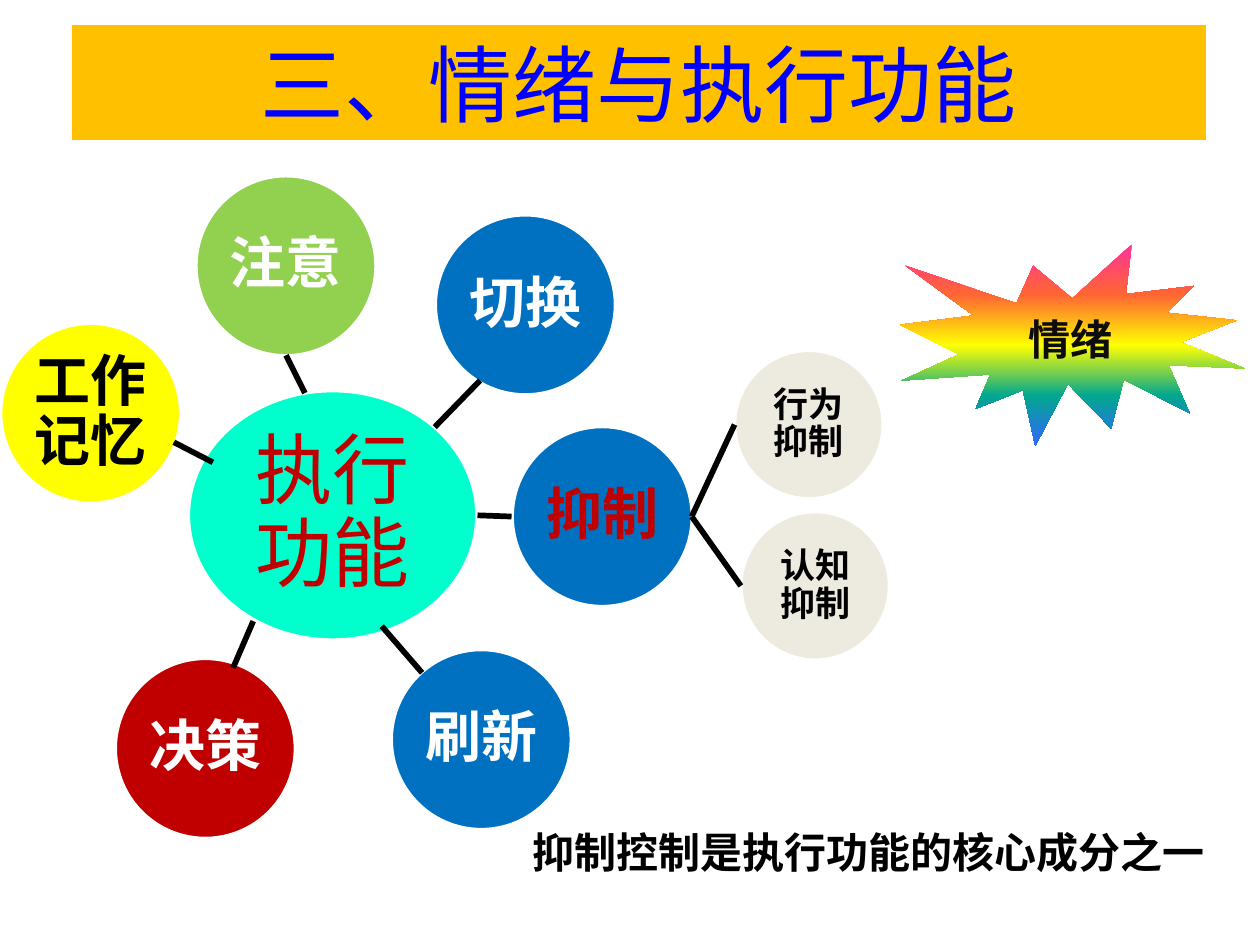
"""Build the slide on emotion and executive function."""
import pptx
import pptx.dml.color
import pptx.enum.shapes
import pptx.enum.text
import pptx.oxml.ns
import pptx.util
from lxml import etree

RGB = pptx.dml.color.RGBColor
SHAPE = pptx.enum.shapes.MSO_SHAPE
ALIGN = pptx.enum.text.PP_ALIGN
MIDDLE = pptx.enum.text.MSO_ANCHOR.MIDDLE
Inches = pptx.util.Inches
Pt = pptx.util.Pt
qn = pptx.oxml.ns.qn

WHITE = RGB(0xFF, 0xFF, 0xFF)
BLACK = RGB(0, 0, 0)
NEAR_BLACK = RGB(0x0D, 0x0D, 0x0D)
BLUE = RGB(0x00, 0x70, 0xC0)
RED = RGB(0xC0, 0, 0)
GREEN = RGB(0x92, 0xD0, 0x50)
YELLOW = RGB(0xFF, 0xFF, 0)
AQUA = RGB(0, 0xFF, 0xCC)
BEIGE = RGB(0xDD, 0xD9, 0xC3)
AMBER = RGB(0xFF, 0xC0, 0)
TITLE_BLUE = RGB(0, 0, 0xFF)
RAINBOW = [RGB(0xFF, 0x33, 0x99), RGB(0xFF, 0x66, 0x33), YELLOW,
           RGB(0x01, 0xA7, 0x8F), RGB(0x33, 0x66, 0xFF)]

SANS = "Noto Sans CJK SC"
HEADING = "Noto Sans CJK JP"
LATIN = "Cabin"

TITLE = "三、情绪与执行功能"
EMOTION = "情绪"
CONCLUSION = "抑制控制是执行功能的核心成分之一"

CORE = ("执行功能", 2.64, 4.09, AQUA, RED)
FUNCTIONS = [
    ("刷新", 3.82, 5.87, BLUE, WHITE),
    ("抑制", 4.78, 4.1, BLUE, RED),
    ("切换", 4.17, 2.42, BLUE, WHITE),
    ("注意", 2.27, 2.11, GREEN, WHITE),
    ("工作记忆", 0.72, 3.28, YELLOW, BLACK),
    ("决策", 1.63, 5.94, RED, WHITE),
]
INHIBITIONS = [
    ("行为抑制", 6.42, 3.37, BEIGE, BLACK),
    ("认知抑制", 6.47, 4.65, BEIGE, BLACK),
]
FORK = (5.49, 4.1)
LINKS = [
    ((3.35, 5.34), (3.03, 4.97)),
    ((3.45, 3.39), (3.81, 3.02)),
    ((3.79, 4.09), (4.06, 4.1)),
    (FORK, (5.88, 4.65)),
    (FORK, (5.83, 3.37)),
    ((2.42, 3.12), (2.27, 2.82)),
    ((1.69, 3.67), (1.38, 3.51)),
    ((1.85, 5.3), (2.01, 4.93)),
]


def write(frame, words, size, face, color, bold=False, align=ALIGN.CENTER):
    frame.text = words
    paragraph = frame.paragraphs[0]
    paragraph.alignment = align
    run = paragraph.runs[0]
    run.font.size = Pt(size)
    run.font.bold = bold
    run.font.color.rgb = color
    run.font.name = face
    etree.SubElement(run.font._element, qn("a:ea"), typeface=face)


def add_bubble(slide, bubble, width, height, inset, size, face, bold=True, opacity=100):
    words, x, y, color, ink = bubble
    oval = slide.shapes.add_shape(SHAPE.OVAL, Inches(x - width / 2), Inches(y - height / 2),
                                  Inches(width), Inches(height))
    oval.shadow.inherit = False
    oval.fill.solid()
    oval.fill.fore_color.rgb = color
    if opacity < 100:
        tint = oval._element.spPr.find(qn("a:solidFill"))[0]
        etree.SubElement(tint, qn("a:alpha"), val=str(opacity * 1000))
    oval.line.color.rgb = WHITE
    oval.line.width = Pt(2)
    frame = oval.text_frame
    frame.word_wrap = True
    frame.vertical_anchor = MIDDLE
    frame.margin_left = frame.margin_right = Inches(inset)
    frame.margin_top = frame.margin_bottom = Inches(inset)
    write(frame, words, size, face, ink, bold)
    frame.paragraphs[0].line_spacing = 0.9


def add_link(slide, start, end):
    link = slide.shapes.add_connector(pptx.enum.shapes.MSO_CONNECTOR.STRAIGHT,
                                      *map(Inches, start + end))
    link.line.color.rgb = BLACK
    link.line.width = Pt(3.25)
    etree.SubElement(link._element.spPr, qn("a:effectLst"))


def add_emotion(slide):
    burst = slide.shapes.add_shape(SHAPE.EXPLOSION1, Inches(7.14), Inches(1.94),
                                   Inches(2.74), Inches(1.6))
    burst.shadow.inherit = False
    burst.line.fill.background()
    burst.fill.gradient()
    burst.fill.gradient_angle = 270
    stops = burst._element.spPr.find(qn("a:gradFill")).find(qn("a:gsLst"))
    stops.clear()
    for index, color in enumerate(RAINBOW):
        share = index * 100000 // (len(RAINBOW) - 1)
        stop = etree.SubElement(stops, qn("a:gs"), pos=str(share))
        etree.SubElement(stop, qn("a:srgbClr"), val=str(color))
    burst.text_frame.vertical_anchor = MIDDLE
    write(burst.text_frame, EMOTION, 24, LATIN, NEAR_BLACK, True)


def main():
    deck = pptx.Presentation()
    deck.slide_width, deck.slide_height = Inches(10), Inches(7.5)
    slide = deck.slides.add_slide(deck.slide_layouts[5])

    title = slide.shapes.title
    title.left, title.top = Inches(0.57), Inches(0.2)
    title.width, title.height = Inches(9), Inches(0.91)
    title.fill.solid()
    title.fill.fore_color.rgb = AMBER
    title.text_frame.vertical_anchor = MIDDLE
    write(title.text_frame, TITLE, 48, HEADING, TITLE_BLUE)

    add_bubble(slide, CORE, 2.29, 1.98, 0.06, 44, HEADING, bold=False)
    for function in FUNCTIONS:
        add_bubble(slide, function, 1.43, 1.43, 0.04, 32, SANS)
    for inhibition in INHIBITIONS:
        add_bubble(slide, inhibition, 1.18, 1.18, 0.03, 20, LATIN, opacity=50)
    for start, end in LINKS:
        add_link(slide, start, end)
    add_emotion(slide)

    conclusion = slide.shapes.add_textbox(Inches(4.13), Inches(6.51), Inches(5.62), Inches(0.5))
    conclusion.text_frame.word_wrap = False
    write(conclusion.text_frame, CONCLUSION, 24, SANS, BLACK, True, ALIGN.LEFT)

    deck.save("out.pptx")


if __name__ == "__main__":
    main()
